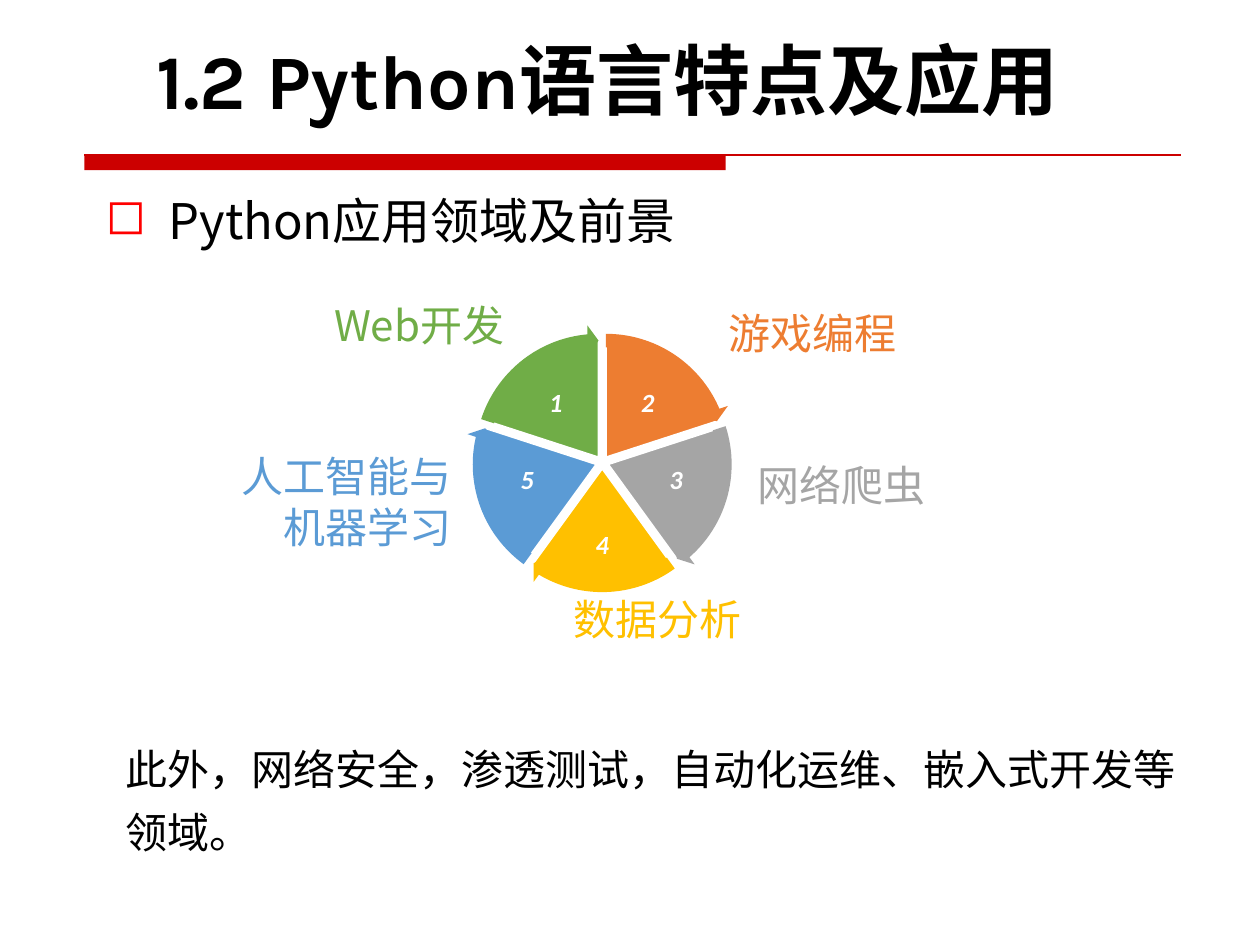
import math
from dataclasses import dataclass

from lxml import etree
from pptx import Presentation
from pptx.dml.color import RGBColor
from pptx.enum import shapes, text
from pptx.oxml.ns import qn
from pptx.util import Inches, Pt


@dataclass(frozen=True)
class Theme:
    black: str = "000000"
    white: str = "FFFFFF"
    rule: str = "CC0000"
    bullet: str = "FF0000"
    heading_font: str = "Karla"
    body_font: str = "Noto Sans CJK SC"
    number_font: str = "Calibri"
    title: int = 44
    topic: int = 28
    body: int = 24
    number: int = 15


THEME = Theme()
ALIGN = text.PP_ALIGN


@dataclass(frozen=True)
class Box:
    left: float
    top: float
    width: float
    height: float

    def lengths(self):
        return [Inches(v) for v in (self.left, self.top, self.width, self.height)]


@dataclass(frozen=True)
class Field:
    number: str
    label: str
    color: str
    label_box: Box
    number_box: Box
    align: ALIGN = ALIGN.LEFT


# Clockwise from the top of the wheel
FIELDS = [
    Field("2", "游戏编程", "ED7D31", Box(5.68, 2.39, 4.18, 0.5), Box(4.93, 3.07, 0.42, 0.28)),
    Field("3", "网络爬虫", "A5A5A5", Box(5.91, 3.6, 4.18, 0.5), Box(5.17, 3.66, 0.39, 0.31)),
    Field("4", "数据分析", "FFC000", Box(4.45, 4.66, 4.18, 0.5), Box(4.59, 4.16, 0.38, 0.35)),
    Field("5", "人工智能与机器学习", "5B9BD5", Box(1.8, 3.53, 1.88, 0.91),
          Box(3.99, 3.66, 0.39, 0.31), ALIGN.RIGHT),
    Field("1", "Web开发", "70AD47", Box(1.8, 2.33, 2.3, 0.5),
          Box(4.2, 3.07, 0.42, 0.28), ALIGN.RIGHT),
]

WHEEL_X, WHEEL_Y = 4.78, 3.67
WEDGE_OFFSET = 0.05
PIE_SIZE, ARROW_SIZE = 1.87, 2.1
# Adjustments count 100000ths, angles 60000ths of a degree
DEGREE = 0.6
ARROW_WIDTH, ARROW_HEAD, ARROW_INSET = 0.051, 3.275, 0.059


def rgb(color: str) -> RGBColor:
    return RGBColor.from_string(color)


def add_text(slide, box: Box, lines: list[str], size: int, color: str = THEME.black,
             font: str = THEME.body_font, align: ALIGN = ALIGN.LEFT,
             spacing: float = 1.0, bold: bool = False, italic: bool = False,
             indent: tuple[float, float] = (0, 0), bullet: str = ""):
    frame = slide.shapes.add_textbox(*box.lengths()).text_frame
    frame.word_wrap = True
    for index, line in enumerate(lines):
        paragraph = frame.add_paragraph() if index else frame.paragraphs[0]
        paragraph.text = line
        paragraph.alignment = align
        paragraph.line_spacing = spacing
        props = paragraph._p.get_or_add_pPr()
        props.set("marL", str(Inches(indent[0])))
        props.set("indent", str(Inches(indent[1])))
        if bullet:
            bullet_color = etree.SubElement(props, qn("a:buClr"))
            etree.SubElement(bullet_color, qn("a:srgbClr"), val=THEME.bullet)
            etree.SubElement(props, qn("a:buChar"), char=bullet)
        paragraph.font.size = Pt(size)
        paragraph.font.name = font
        paragraph.font.bold = bold
        paragraph.font.italic = italic
        paragraph.font.color.rgb = rgb(color)
        # East Asian face for the Chinese characters
        etree.SubElement(props.find(qn("a:defRPr")), qn("a:ea"), typeface=THEME.body_font)
    return frame


def add_filled(slide, kind, box: Box, color: str, adjustments: tuple[float, ...] = ()):
    shape = slide.shapes.add_shape(kind, *box.lengths())
    shape.shadow.inherit = False
    shape.fill.solid()
    shape.fill.fore_color.rgb = rgb(color)
    shape.line.fill.background()
    for index, value in enumerate(adjustments):
        shape.adjustments[index] = value
    return shape


def wedge_geometry(index: int, size: float) -> tuple[Box, float, float]:
    """Return the box of a wedge's circle and its start and end angles."""
    step = 360 / len(FIELDS)
    start = 270 + index * step
    middle = math.radians(start + step / 2)
    x = WHEEL_X + WEDGE_OFFSET * math.cos(middle)
    y = WHEEL_Y + WEDGE_OFFSET * math.sin(middle)
    box = Box(x - size / 2, y - size / 2, size, size)
    return box, start % 360 * DEGREE, (start + step) % 360 * DEGREE


def add_wedge(slide, index: int, field: Field) -> None:
    box, start, end = wedge_geometry(index, PIE_SIZE)
    pie = add_filled(slide, shapes.MSO_SHAPE.PIE, box, field.color, (start, end))
    pie.line.color.rgb = rgb(THEME.white)
    pie.line.width = Pt(1)
    frame = add_text(slide, field.number_box, [field.number], THEME.number, THEME.white,
                     THEME.number_font, ALIGN.CENTER, 0.9, bold=True, italic=True)
    frame.vertical_anchor = text.MSO_ANCHOR.MIDDLE
    frame.margin_left = frame.margin_right = Inches(0.02)
    frame.margin_top = frame.margin_bottom = Inches(0.02)


def add_arrow(slide, index: int, field: Field) -> None:
    box, start, end = wedge_geometry(index, ARROW_SIZE)
    add_filled(slide, shapes.MSO_SHAPE.CIRCULAR_ARROW, box, field.color,
               (ARROW_WIDTH, ARROW_HEAD, end - ARROW_HEAD, start, ARROW_INSET))


def add_header_rule(slide) -> None:
    bar = Box(0.67, 1.23, 5.09, 0.12)
    add_filled(slide, shapes.MSO_SHAPE.RECTANGLE, bar, THEME.rule)
    rule = slide.shapes.add_connector(
        shapes.MSO_CONNECTOR.STRAIGHT, Inches(bar.left), Inches(bar.top),
        Inches(9.37), Inches(bar.top))
    rule.line.color.rgb = rgb(THEME.rule)
    rule.line.width = Pt(0.75)
    etree.SubElement(rule._element.spPr, qn("a:effectLst"))


def main() -> None:
    deck = Presentation()
    deck.slide_width, deck.slide_height = Inches(10), Inches(7.5)
    slide = deck.slides.add_slide(deck.slide_layouts[6])

    # Heading and topic
    add_header_rule(slide)
    add_text(slide, Box(1.14, 0.21, 8.14, 0.84), ["1.2 Python语言特点及应用"],
             THEME.title, font=THEME.heading_font, bold=True)
    add_text(slide, Box(0.74, 1.23, 6.65, 0.7), ["Python应用领域及前景"],
             THEME.topic, spacing=1.5, indent=(0.5, -0.5), bullet="◻")

    # Wheel of application fields, arrows above all wedges
    for field in FIELDS:
        add_text(slide, field.label_box, [field.label], THEME.body, field.color,
                 align=field.align)
    for draw in (add_wedge, add_arrow):
        for index, field in enumerate(FIELDS):
            draw(slide, index, field)

    # Closing remark
    add_text(slide, Box(0.61, 5.75, 9.39, 1.04),
             ["此外，网络安全，渗透测试，自动化运维、嵌入式开发等", "领域。"],
             THEME.body, align=ALIGN.JUSTIFY, spacing=1.25, indent=(0, 0.29))

    deck.save("out.pptx")


if __name__ == "__main__":
    main()
